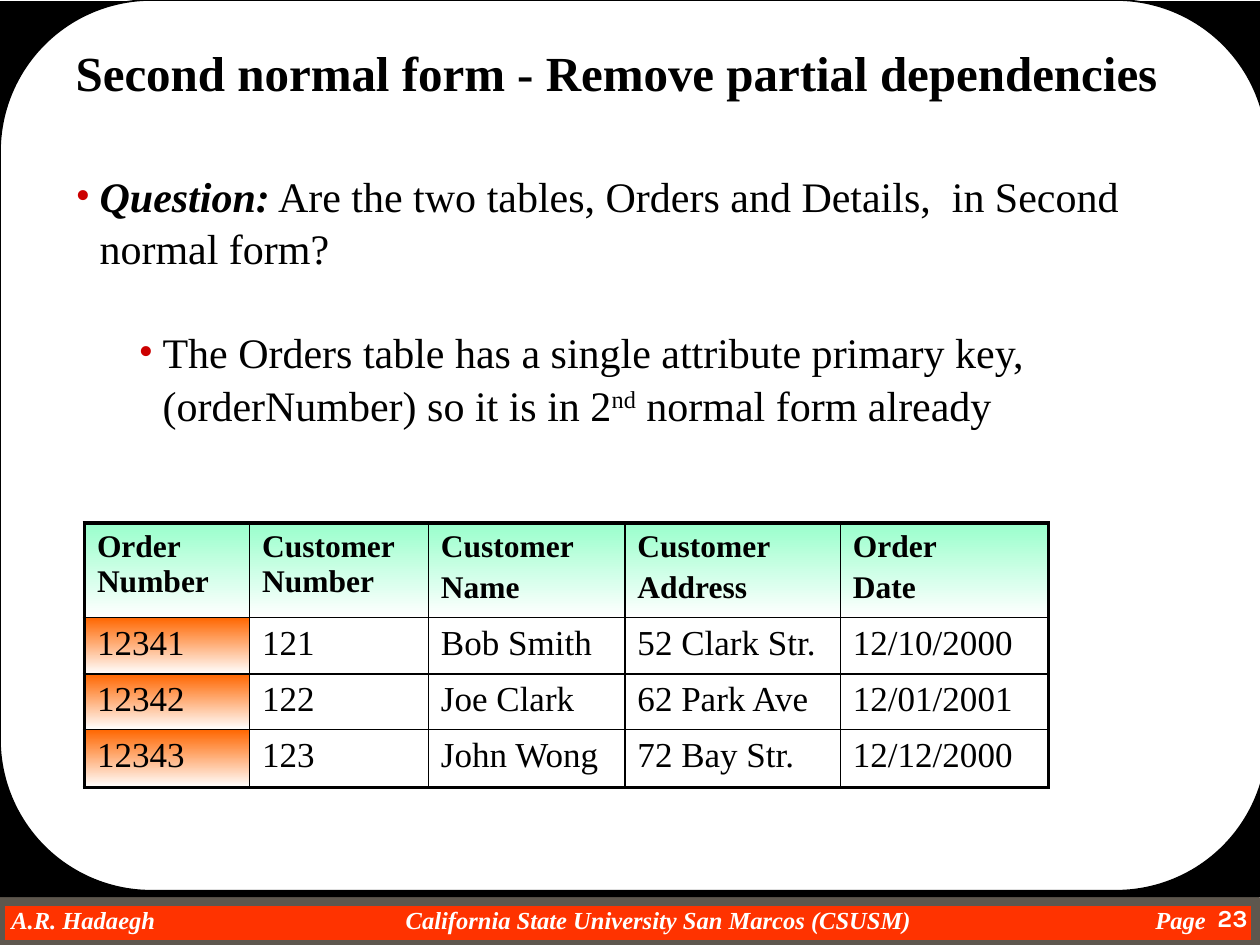
import pptx
import pptx.dml.color
import pptx.enum.shapes
import pptx.enum.text
import pptx.oxml
import pptx.oxml.ns
import pptx.util
from pptx.util import Inches

COLORS = {
    "black": "000000", "white": "FFFFFF", "bar": "FF3300", "bar_edge": "5E574E",
    "bullet": "CC0000", "header": "99FFCC", "key": "FF6600",
}
SERIF = "Times New Roman"
NS = pptx.oxml.ns.nsdecls("a")


def rgb(name):
    return pptx.dml.color.RGBColor.from_string(COLORS[name])


def add_run(p, text, size, color="black", bold=False, italic=False, font=SERIF):
    r = p.add_run()
    r.text = text
    r.font.name, r.font.size = font, pptx.util.Pt(size)
    r.font.bold, r.font.italic = bold, italic
    r.font.color.rgb = rgb(color)
    return r


prs = pptx.Presentation()
prs.slide_width, prs.slide_height = Inches(10), Inches(7.5)
s = prs.slides.add_slide(prs.slide_layouts[1])
title, body = s.placeholders[0], s.placeholders[1]

# Frame: footer bar, black backdrop, rounded white page
shape_type = pptx.enum.shapes.MSO_SHAPE
frame = [
    (shape_type.RECTANGLE, (0, 7.15, 9.97, 0.35), "bar", "bar_edge", 6),
    (shape_type.RECTANGLE, (0, 0.01, 10, 7.11), "black", None, 0),
    (shape_type.ROUNDED_RECTANGLE, (0, 0, 10.06, 7.07), "white", "black", 1),
]
for kind, box, fill, line, width in frame:
    sp = s.shapes.add_shape(kind, *map(Inches, box))
    sp.shadow.inherit = False
    sp.fill.solid()
    sp.fill.fore_color.rgb = rgb(fill)
    if line:
        sp.line.color.rgb = rgb(line)
        sp.line.width = pptx.util.Pt(width)
    else:
        sp.line.fill.background()
sp.adjustments[0] = 0.17

# Footer text, spread with tab stops
footer = s.shapes.add_textbox(Inches(0.09), Inches(7.18), Inches(9.6), Inches(0.23))
tf = footer.text_frame
tf.word_wrap = True
tf.margin_left = tf.margin_top = tf.margin_right = tf.margin_bottom = 0
p = tf.paragraphs[0]
stops = "".join(f'<a:tab pos="{Inches(x)}" algn="l"/>' for x in (3.13, 9.08))
p._p.get_or_add_pPr().append(pptx.oxml.parse_xml(f"<a:tabLst {NS}>{stops}</a:tabLst>"))
add_run(p, "A.R. Hadaegh\tCalifornia State University San Marcos (CSUSM)\tPage",
        14, "white", True, True)

number = s.shapes.add_textbox(Inches(9.25), Inches(7.12), Inches(0.75), Inches(0.38))
number.text_frame.word_wrap = True
p = number.text_frame.paragraphs[0]
p.alignment = pptx.enum.text.PP_ALIGN.RIGHT
add_run(p, "23", 14, "white", True, font="Karla")

# Title and body, brought in front of the frame
for sp, top, height in ((title, 0.29, 0.6), (body, 1.28, 2.2)):
    s.shapes.element.append(sp.element)
    sp.left, sp.top = Inches(0.5), Inches(top)
    sp.width, sp.height = Inches(9.12), Inches(height)
    tf = sp.text_frame
    tf.word_wrap = True
    tf.auto_size = pptx.enum.text.MSO_AUTO_SIZE.NONE
    tf.vertical_anchor = pptx.enum.text.MSO_ANCHOR.TOP

p = title.text_frame.paragraphs[0]
p.alignment = pptx.enum.text.PP_ALIGN.LEFT
add_run(p, "Second normal form - Remove partial dependencies", 28, bold=True)

question = body.text_frame.paragraphs[0]
answer = body.text_frame.add_paragraph()
answer.level = 1
for p, indent, before in ((question, 0.19, 0), (answer, 0.69, 29)):
    pPr = p._p.get_or_add_pPr()
    pPr.set("marL", str(Inches(indent)))
    pPr.set("indent", str(-Inches(0.19)))
    for bullet in (f'<a:buClr {NS}><a:srgbClr val="{COLORS["bullet"]}"/></a:buClr>',
                   f'<a:buFont {NS} typeface="{SERIF}"/>',
                   f'<a:buChar {NS} char="•"/>'):
        pPr.append(pptx.oxml.parse_xml(bullet))
    p.line_spacing = 1.05
    p.space_before = pptx.util.Pt(before)
add_run(question, "Question:", 24, bold=True, italic=True)
add_run(question, " Are the two tables, Orders and Details,  in Second normal form?", 24)
add_run(answer, "The Orders table has a single attribute primary key, "
                "(orderNumber) so it is in 2", 24)
r = add_run(answer, "nd", 24)
r.font._element.set("baseline", "30000")
add_run(answer, " normal form already", 24)

# Orders table; a line break in a heading starts a new paragraph
rows = [
    ["Order Number", "Customer Number", "Customer\nName", "Customer\nAddress", "Order\nDate"],
    ["12341", "121", "Bob Smith", "52 Clark Str.", "12/10/2000"],
    ["12342", "122", "Joe Clark", "62 Park Ave", "12/01/2001"],
    ["12343", "123", "John Wong", "72 Bay Str.", "12/12/2000"],
]
col_widths = [1.31, 1.42, 1.56, 1.71, 1.65]
row_heights = [0.75, 0.45, 0.44, 0.46]
last_row, last_col = len(rows) - 1, len(col_widths) - 1
table = s.shapes.add_table(len(rows), len(col_widths), Inches(0.67), Inches(4.15),
                           Inches(sum(col_widths)), Inches(sum(row_heights))).table
table.first_row = table.horz_banding = False
for column, width in zip(table.columns, col_widths):
    column.width = Inches(width)
for row, height in zip(table.rows, row_heights):
    row.height = Inches(height)

for i, values in enumerate(rows):
    for j, value in enumerate(values):
        cell = table.cell(i, j)
        tcPr = cell._tc.get_or_add_tcPr()
        outer = {"L": j == 0, "R": j == last_col, "T": i == 0, "B": i == last_row}
        for side, is_outer in outer.items():
            width = pptx.util.Pt(2.25 if is_outer else 1)
            tcPr.append(pptx.oxml.parse_xml(
                f'<a:ln{side} {NS} w="{width}"><a:solidFill>'
                f'<a:srgbClr val="{COLORS["black"]}"/></a:solidFill></a:ln{side}>'))
        if i == 0 or j == 0:
            cell.fill.gradient()
            cell.fill.gradient_angle = 270
            start, end = cell.fill.gradient_stops
            start.color.rgb = rgb("header" if i == 0 else "key")
            end.color.rgb = rgb("white")
            start.position, end.position = 0, 1
        else:
            cell.fill.background()
        for k, text in enumerate(value.split("\n")):
            p = cell.text_frame.add_paragraph() if k else cell.text_frame.paragraphs[0]
            if k:
                p.space_before = pptx.util.Pt(3.6)
            add_run(p, text, 18 if i == 0 else 20, bold=i == 0)

prs.save("out.pptx")
